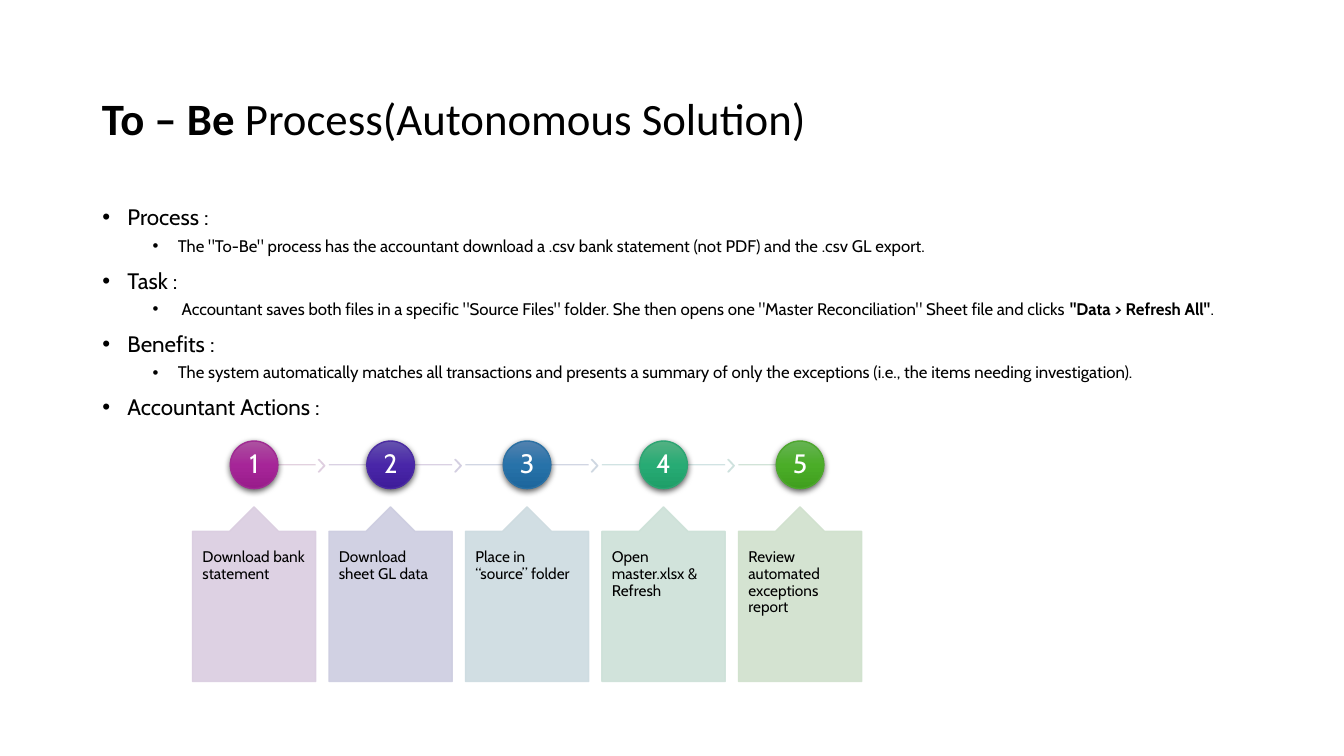
from copy import deepcopy

from lxml.etree import SubElement
from pptx import Presentation
from pptx.dml.color import RGBColor
from pptx.enum.shapes import MSO_CONNECTOR as CONNECTOR, MSO_SHAPE as SHAPE
from pptx.enum.text import MSO_ANCHOR as ANCHOR, PP_ALIGN as ALIGN
from pptx.oxml.ns import qn
from pptx.util import Pt

COLORS = {
    "text": "000000",
    "number": "FFFFFF",
    "shadow": "000000",
    "ball": [("AC53A0", "A62598", "991C8B"), ("6553AE", "4926A8", "3E1C9A"),
             ("5382AF", "2772A9", "1D669C"), ("54B183", "27AB74", "1E9E68"),
             ("66B354", "4BAD28", "409F1E")],
    "rim": ["A02B93", "4B2CA2", "2C71A4", "2DA573", "4EA72E"],
    "card": ["DACDE0", "CDCDE0", "CDDBE0", "CDE1D8", "D0E1CD"],
    "track": ["DFCDDC", "D6CDE0", "CDD2E0", "CDE0E1", "CDE1D4"],
    "chevron": ["DECDDF", "D2CDE0", "CDD6E0", "CDE1DD"],
}
TITLE = [("To – Be ", True), ("Process(Autonomous Solution)", False)]
OUTLINE = [
    (0, [("Process :", False)]),
    (1, [('The "To-Be" process has the accountant download a .csv bank statement '
          '(not PDF) and the .csv GL export.', False)]),
    (0, [("Task :", False)]),
    (1, [(' Accountant saves both files in a specific "Source Files" folder. She then '
          'opens one "Master Reconciliation" Sheet file and clicks ', False),
         ('"Data > Refresh All"', True), (".", False)]),
    (0, [("Benefits :", False)]),
    (1, [("The system automatically matches all transactions and presents a summary of "
          "only the exceptions (i.e., the items needing investigation).", False)]),
    (0, [("Accountant Actions :", False)]),
]
ACTIONS = ["Download bank statement", "Download sheet GL data",
           "Place in “source” folder", "Open master.xlsx & Refresh",
           "Review automated exceptions report"]
LEVELS = [(16, 10, 18), (12, 5, 54)]
FIRST_LEFT, PITCH, CARD_WIDTH = 137.5, 97.5, 88
CARD_TOP, CARD_HEIGHT = 362, 124.75
BALL, TRACK_Y = 34, 332
CHEVRON_WIDTH, CHEVRON_HEIGHT = 4.5, 8.75


def add_runs(paragraph, runs, size, color, font="Cabin"):
    """Fill a paragraph with (text, bold) runs at 90 % line spacing."""
    paragraph.line_spacing = 0.9
    for text, bold in runs:
        run = paragraph.add_run()
        run.text = text
        run.font.name, run.font.size, run.font.bold = font, Pt(size), bold
        run.font.color.rgb = RGBColor.from_string(color)


def set_frame(shape, anchor, side=7.2, edge=3.6):
    """Set wrapping, anchor and insets, and return the text frame."""
    frame = shape.text_frame
    frame.word_wrap, frame.vertical_anchor = True, anchor
    frame.margin_left = frame.margin_right = Pt(side)
    frame.margin_top = frame.margin_bottom = Pt(edge)
    return frame


def make_translucent(properties):
    """Make the colours of a shape 90 % opaque."""
    for color in properties.iter(qn("a:srgbClr")):
        SubElement(color, qn("a:alpha")).set("val", "90000")


def add_title(slide):
    """Add the slide title."""
    box = slide.shapes.add_textbox(Pt(65.75), Pt(30.25), Pt(542), Pt(113))
    frame = set_frame(box, ANCHOR.MIDDLE)
    add_runs(frame.paragraphs[0], TITLE, 32, COLORS["text"], "Calibri")


def add_outline(slide):
    """Add the two-level bullet list."""
    box = slide.shapes.add_textbox(Pt(66), Pt(144), Pt(828), Pt(342.75))
    frame = set_frame(box, ANCHOR.TOP)
    for index, (level, runs) in enumerate(OUTLINE):
        paragraph = frame.add_paragraph() if index else frame.paragraphs[0]
        size, before, indent = LEVELS[level]
        paragraph.level, paragraph.space_before = level, Pt(before)
        add_runs(paragraph, runs, size, COLORS["text"])
        properties = paragraph._p.get_or_add_pPr()
        properties.set("marL", str(Pt(indent)))
        properties.set("indent", str(-Pt(18)))
        SubElement(properties, qn("a:buFont")).set("typeface", "Arial")
        SubElement(properties, qn("a:buChar")).set("char", "•")


def add_track(slide, start, end, color):
    """Add a horizontal piece of the track."""
    track = slide.shapes.add_connector(CONNECTOR.STRAIGHT, Pt(start), Pt(TRACK_Y),
                                       Pt(end), Pt(TRACK_Y))
    track.line.color.rgb = RGBColor.from_string(color)
    track.line.width = Pt(1)
    properties = track._element.spPr
    make_translucent(properties)
    SubElement(properties, qn("a:effectLst"))


def add_pale_shape(slide, kind, left, top, width, height, color, adjustments):
    """Add a translucent preset shape with a matching outline."""
    shape = slide.shapes.add_shape(kind, Pt(left), Pt(top), Pt(width), Pt(height))
    for index, value in enumerate(adjustments):
        shape.adjustments[index] = value
    shape.fill.solid()
    shape.fill.fore_color.rgb = RGBColor.from_string(color)
    shape.line.color.rgb = RGBColor.from_string(color)
    shape.line.width = Pt(1)
    shape.shadow.inherit = False
    make_translucent(shape._element.spPr)
    return shape


def add_ball(slide, center, number, stops, rim):
    """Add a numbered ball with a vertical gradient and a soft shadow."""
    ball = slide.shapes.add_shape(SHAPE.OVAL, Pt(center - BALL / 2),
                                  Pt(TRACK_Y - BALL / 2), Pt(BALL), Pt(BALL))
    ball.fill.gradient()
    ball.fill.gradient_angle = 270
    properties = ball._element.spPr
    stop_list = properties.find(".//" + qn("a:gsLst"))
    stop_list.append(deepcopy(stop_list[-1]))
    for index, (stop, color) in enumerate(zip(ball.fill.gradient_stops, stops)):
        stop.position = index / 2
        stop.color.rgb = RGBColor.from_string(color)
    ball.line.color.rgb = RGBColor.from_string(rim)
    ball.line.width = Pt(1)
    ball.shadow.inherit = False
    shadow = SubElement(properties.find(qn("a:effectLst")), qn("a:outerShdw"),
                        blurRad=str(Pt(4.5)), dist=str(Pt(1.5)), dir="5400000",
                        algn="ctr", rotWithShape="0")
    color = SubElement(shadow, qn("a:srgbClr"), val=COLORS["shadow"])
    SubElement(color, qn("a:alpha"), val="63000")
    paragraph = set_frame(ball, ANCHOR.MIDDLE, 1.5, 1.5).paragraphs[0]
    paragraph.alignment = ALIGN.CENTER
    add_runs(paragraph, [(str(number), False)], 19, COLORS["number"])


def add_card(slide, left, text, color):
    """Add a callout card that points up to its ball."""
    card = add_pale_shape(slide, SHAPE.UP_ARROW_CALLOUT, left, CARD_TOP, CARD_WIDTH,
                          CARD_HEIGHT, color, [0.5, 0.2, 0.2, 1])
    paragraph = set_frame(card, ANCHOR.TOP, 7.2, 13).paragraphs[0]
    paragraph.alignment = ALIGN.LEFT
    add_runs(paragraph, [(text, False)], 11, COLORS["text"])


def add_action(slide, index, text):
    """Add one step: track, chevron, ball and card."""
    left = FIRST_LEFT + index * PITCH
    center, right = left + CARD_WIDTH / 2, left + CARD_WIDTH
    last = index == len(ACTIONS) - 1
    add_track(slide, left if index else center, center if last else right,
              COLORS["track"][index])
    if not last:
        add_pale_shape(slide, SHAPE.CHEVRON, right + 2, 328.25, CHEVRON_WIDTH,
                       CHEVRON_HEIGHT, COLORS["chevron"][index], [0.9])
    add_ball(slide, center, index + 1, COLORS["ball"][index], COLORS["rim"][index])
    add_card(slide, left, text, COLORS["card"][index])


def main():
    """Build the slide and save it."""
    presentation = Presentation()
    presentation.slide_width, presentation.slide_height = Pt(960), Pt(540)
    slide = presentation.slides.add_slide(presentation.slide_layouts[6])
    add_title(slide)
    add_outline(slide)
    for index, text in enumerate(ACTIONS):
        add_action(slide, index, text)
    presentation.save("out.pptx")


if __name__ == "__main__":
    main()
